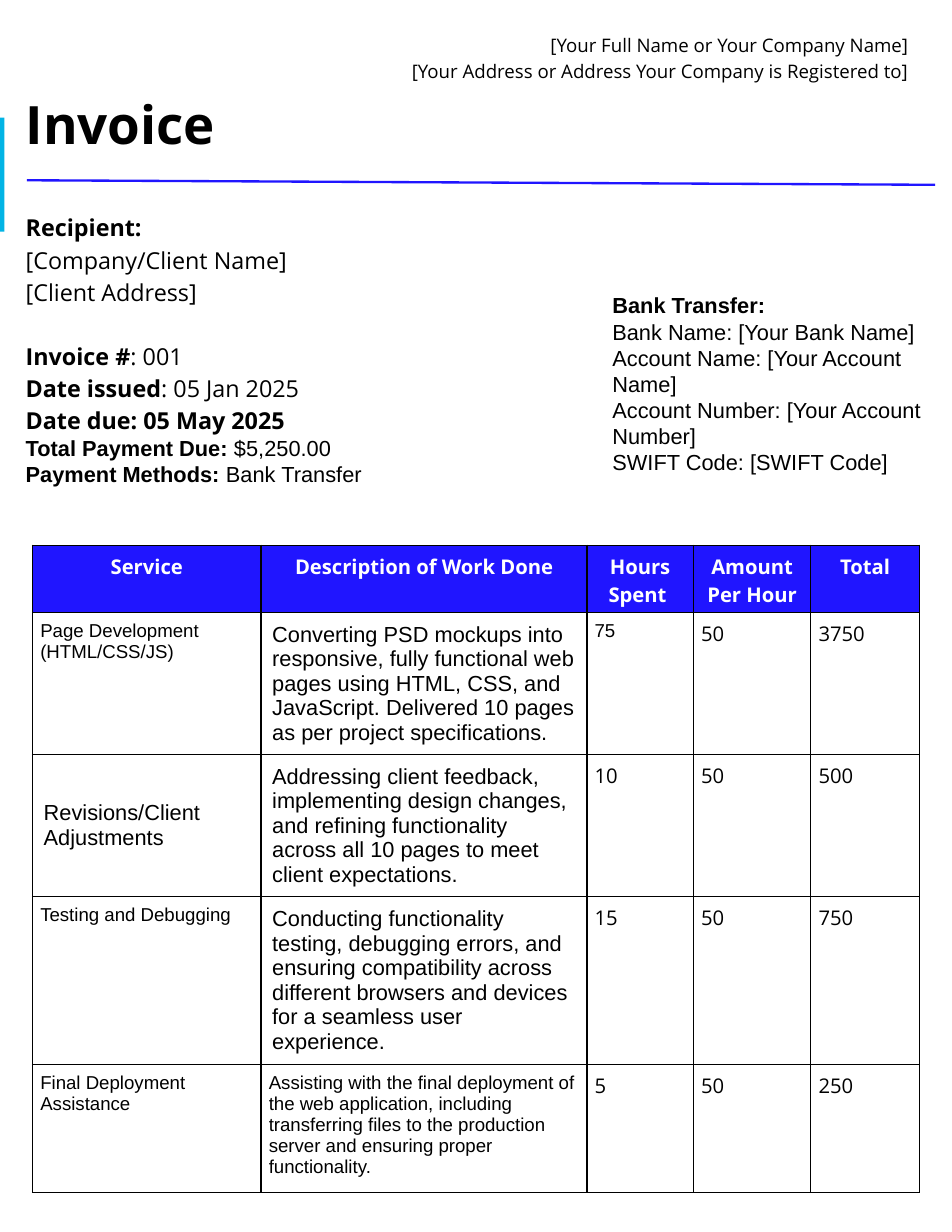
from lxml import etree
from pptx import Presentation
from pptx.dml.color import RGBColor
from pptx.enum import shapes, text
from pptx.oxml.ns import qn
from pptx.util import Pt

SENDER = ["[Your Full Name or Your Company Name]",
          "[Your Address or Address Your Company is Registered to]"]
TITLE = "Invoice"
DETAILS = [
    [("Recipient: ", True)],
    [("[Company/Client Name]", False)],
    [("[Client Address]", False)],
    [("Invoice #", True), (": 001", False)],
    [("Date issued", True), (": 05 Jan 2025", False)],
    [("Date due: 05 May 2025", True)],
]
PAYMENT = [
    [("Total Payment Due:", True), (" $5,250.00", False)],
    [("Payment Methods: ", True), ("Bank Transfer", False)],
]
BANK = [
    [("Bank Transfer:", True)],
    [("Bank Name: [Your Bank Name]", False)],
    [("Account Name: [Your Account Name]", False)],
    [("Account Number: [Your Account Number]", False)],
    [("SWIFT Code: [SWIFT Code]", False)],
]
HEADERS = ["Service", "Description of Work Done", "Hours Spent ", "Amount Per Hour", "Total"]
SERVICES = [
    ["Page Development (HTML/CSS/JS)",
     "Converting PSD mockups into responsive, fully functional web pages using HTML, CSS, "
     "and JavaScript. Delivered 10 pages as per project specifications.", "75", "50", "3750"],
    ["Revisions/Client Adjustments",
     "Addressing client feedback, implementing design changes, and refining functionality "
     "across all 10 pages to meet client expectations.", "10", "50", "500"],
    ["Testing and Debugging",
     "Conducting functionality testing, debugging errors, and ensuring compatibility across "
     "different browsers and devices for a seamless user experience.", "15", "50", "750"],
    ["Final Deployment Assistance",
     "Assisting with the final deployment of the web application, including transferring files "
     "to the production server and ensuring proper functionality.", "5", "50", "250"],
]
COLUMN_WIDTHS = [146.9, 209.5, 68.4, 75.6, 69.8]
ROW_HEIGHTS = [43.2, 91.3, 91.3, 108, 82.3]

THEME = {
    "blue": RGBColor.from_string("2015FF"),
    "cyan": RGBColor.from_string("02B4E5"),
    "black": RGBColor.from_string("000000"),
    "white": RGBColor.from_string("FFFFFF"),
    "sender": {"name": "Open Sans", "size": Pt(12)},
    "title": {"name": "Open Sans", "size": Pt(34), "bold": True},
    "details": {"name": "Open Sans", "size": Pt(15)},
    "body": {"name": "Arial", "size": Pt(14)},
    "small": {"name": "Arial", "size": Pt(12)},
    "number": {"name": "Open Sans", "size": Pt(13)},
    "header": {"name": "Open Sans", "size": Pt(13), "bold": True},
}
CELL_STYLES = {(1, 1): "body", (2, 0): "body", (2, 1): "body", (3, 1): "body", (1, 2): "small"}
ALIGN = text.PP_ALIGN
MIDDLE = text.MSO_ANCHOR.MIDDLE


def apply(target, values):
    for name, value in values.items():
        setattr(target, name, value)


def margins(x, y):
    return {"margin_left": Pt(x), "margin_right": Pt(x), "margin_top": Pt(y), "margin_bottom": Pt(y)}


def write(tf, runs, style, color="black", **layout):
    p = tf.paragraphs[-1]
    if p.runs:
        p = tf.add_paragraph()
    apply(p, layout)
    for words, bold in runs:
        r = p.add_run()
        r.text = words
        apply(r.font, {"bold": bold, **THEME[style]})
        r.font.color.rgb = THEME[color]
    return p


def text_box(slide, box, **frame):
    tf = slide.shapes.add_textbox(*map(Pt, box)).text_frame
    apply(tf, {"word_wrap": True, **frame})
    return tf


def add_border(cell):
    for position, side in enumerate(("lnL", "lnR", "lnT", "lnB")):
        ln = etree.Element(qn("a:" + side), w=str(Pt(1)))
        fill = etree.SubElement(ln, qn("a:solidFill"))
        etree.SubElement(fill, qn("a:srgbClr"), val=str(THEME["black"]))
        cell._tc.get_or_add_tcPr().insert(position, ln)


def add_heading(slide):
    bar = slide.shapes.add_shape(shapes.MSO_SHAPE.RECTANGLE, 0, Pt(75.6), Pt(2.9), Pt(73.4))
    bar.shadow.inherit = False
    bar.fill.solid()
    bar.fill.fore_color.rgb = THEME["cyan"]
    bar.line.fill.background()

    tf = text_box(slide, (9.4, 15.8, 581.8, 87.8), vertical_anchor=MIDDLE, **margins(7.2, 7.2))
    for line in SENDER:
        write(tf, [(line, False)], "sender", alignment=ALIGN.RIGHT, line_spacing=1.15)
    write(tf, [(TITLE, True)], "title", alignment=ALIGN.JUSTIFY, line_spacing=1.15)

    rule = slide.shapes.add_connector(
        shapes.MSO_CONNECTOR.STRAIGHT, Pt(17.3), Pt(115.9), Pt(601.2), Pt(118.8))
    rule.line.color.rgb = THEME["blue"]
    rule.line.width = Pt(1.5)
    etree.SubElement(rule._element.spPr, qn("a:effectLst"))


def add_details(slide):
    tf = text_box(slide, (9.4, 127.4, 591.1, 211.7), **margins(7.2, 7.2))
    for runs in DETAILS:
        p = write(tf, runs, "details", line_spacing=1.15)
        if runs[0][0] == "Invoice #":
            p.space_before = Pt(20.7)
    for runs in PAYMENT:
        write(tf, runs, "body")

    tf = text_box(slide, (386.6, 184.3, 216, 143.3))
    for runs in BANK:
        write(tf, runs, "body")


def add_services(slide):
    rows = [HEADERS] + SERVICES
    table = slide.shapes.add_table(
        len(rows), len(HEADERS), Pt(20.9), Pt(350.6),
        Pt(sum(COLUMN_WIDTHS)), Pt(sum(ROW_HEIGHTS))).table
    for column, width in zip(table.columns, COLUMN_WIDTHS):
        column.width = Pt(width)
    for row, height in zip(table.rows, ROW_HEIGHTS):
        row.height = Pt(height)
    for i, row in enumerate(rows):
        for j, words in enumerate(row):
            cell = table.cell(i, j)
            cell.fill.solid()
            cell.fill.fore_color.rgb = THEME["white" if i else "blue"]
            add_border(cell)
            if i == 0:
                style, color, align = "header", "white", ALIGN.CENTER
            else:
                style = CELL_STYLES.get((i, j), "small" if j < 2 else "number")
                color, align = "black", ALIGN.LEFT
            if style == "body":
                apply(cell, {"vertical_anchor": MIDDLE, **margins(7.2, 3.6)})
            else:
                apply(cell, margins(5, 5))
            write(cell.text_frame, [(words, i == 0)], style, color, alignment=align)


def main():
    prs = Presentation()
    apply(prs, {"slide_width": Pt(612), "slide_height": Pt(792)})
    slide = prs.slides.add_slide(prs.slide_layouts[6])
    add_heading(slide)
    add_details(slide)
    add_services(slide)
    prs.save("out.pptx")


if __name__ == "__main__":
    main()
